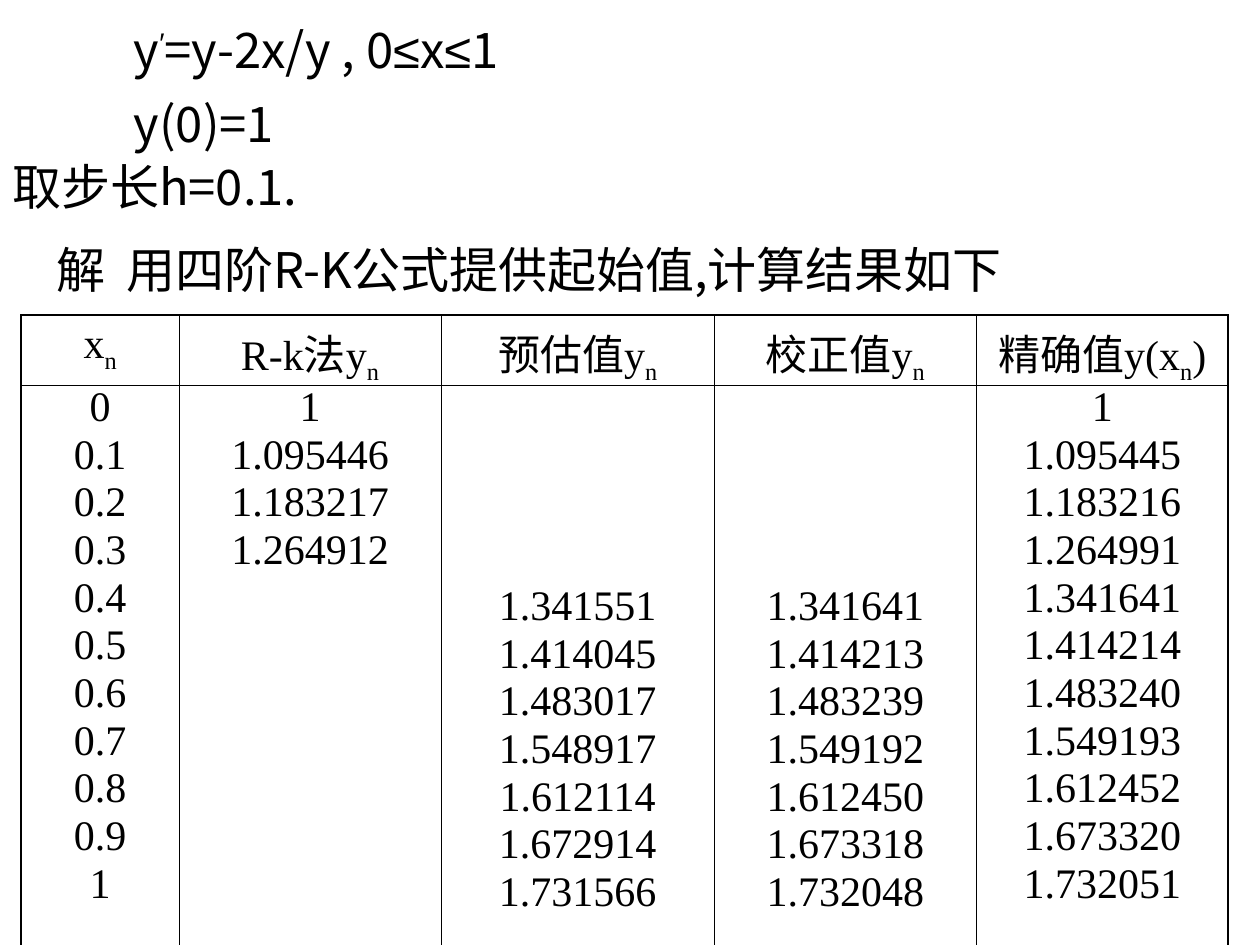
from lxml.etree import SubElement
from pptx import Presentation
from pptx.dml.color import RGBColor
from pptx.enum.text import PP_ALIGN
from pptx.oxml import parse_xml
from pptx.oxml.ns import nsdecls, qn
from pptx.util import Cm, Pt

BLACK = RGBColor(0, 0, 0)
TEXT_FONT = "Noto Sans CJK SC"
SYMBOL_FONT = "Arial"
TABLE_FONT = "Times New Roman"
SUBSCRIPT = -25000
SUPERSCRIPT = 30000
THIN, THICK = Pt(0.45), Pt(1.08)

COLUMN_WIDTHS = [3.18, 5.28, 5.51, 5.28, 5.08]
ROW_HEIGHTS = [1.42, 11.53]
HEADERS = ["x", "R-k法y", "预估值y", "校正值y", "精确值y(x"]
X_VALUES = ["0", "0.1", "0.2", "0.3", "0.4", "0.5", "0.6", "0.7", "0.8", "0.9", "1"]
RUNGE_KUTTA = ["1", "1.095446", "1.183217", "1.264912"]
PREDICTED = ["1.341551", "1.414045", "1.483017", "1.548917",
             "1.612114", "1.672914", "1.731566"]
CORRECTED = ["1.341641", "1.414213", "1.483239", "1.549192",
             "1.612450", "1.673318", "1.732048"]
EXACT = ["1", "1.095445", "1.183216", "1.264991", "1.341641", "1.414214",
         "1.483240", "1.549193", "1.612452", "1.673320", "1.732051"]
# Top margin that starts the multistep values beside x = 0.4
MULTISTEP_MARGIN = Cm(4.14)


def format_font(paragraph, name, size):
    font = paragraph.font
    font.name = name
    font.size = Pt(size)
    font.color.rgb = BLACK


def add_run(paragraph, text, font_name=None, baseline=None):
    run = paragraph.add_run()
    run.text = text
    if font_name:
        run.font.name = font_name
    if baseline:
        run._r.get_or_add_rPr().set("baseline", str(baseline))


def add_line(slide, top, parts, indent=0, tabs=()):
    """Add one full-width line of text; parts are argument tuples for add_run."""
    box = slide.shapes.add_textbox(0, Cm(top), Cm(25.4), Cm(1.5))
    box.text_frame.word_wrap = True
    paragraph = box.text_frame.paragraphs[0]
    paragraph.line_spacing = 1.05
    properties = paragraph._p.get_or_add_pPr()
    properties.set("marL", str(Cm(indent)))
    if tabs:
        tab_list = SubElement(properties, qn("a:tabLst"))
        for position in tabs:
            SubElement(tab_list, qn("a:tab"), pos=str(Cm(position)), algn="l")
    format_font(paragraph, TEXT_FONT, 28)
    SubElement(properties.find(qn("a:defRPr")), qn("a:ea"), typeface=TEXT_FONT)
    for part in parts:
        add_run(paragraph, *part)


def set_borders(cell, widths):
    """Draw the left, right, top and bottom borders of a cell."""
    properties = cell._tc.get_or_add_tcPr()
    for index, (side, width) in enumerate(zip("LRTB", widths)):
        properties.insert(index, parse_xml(
            f'<a:ln{side} {nsdecls("a")} w="{width}"><a:solidFill>'
            f'<a:srgbClr val="{BLACK}"/></a:solidFill></a:ln{side}>'))


def fill_header(cell, text):
    paragraph = cell.text_frame.paragraphs[0]
    paragraph.alignment = PP_ALIGN.CENTER
    format_font(paragraph, TABLE_FONT, 24)
    add_run(paragraph, text)
    add_run(paragraph, "n", baseline=SUBSCRIPT)
    if "(" in text:
        add_run(paragraph, ")")


def fill_values(cell, values):
    cell.text_frame.text = "\n".join(values)
    for index, paragraph in enumerate(cell.text_frame.paragraphs):
        paragraph.alignment = PP_ALIGN.CENTER
        paragraph.line_spacing = 0.8
        if index:
            paragraph.space_before = Pt(6)
        format_font(paragraph, TABLE_FONT, 24)


def add_results_table(slide):
    columns = [X_VALUES, RUNGE_KUTTA, PREDICTED, CORRECTED, EXACT]
    table = slide.shapes.add_table(
        2, len(columns), Cm(0.43), Cm(6.35),
        Cm(sum(COLUMN_WIDTHS)), Cm(sum(ROW_HEIGHTS))).table
    table.first_row = table.horz_banding = False
    for row, height in zip(table.rows, ROW_HEIGHTS):
        row.height = Cm(height)

    last = len(columns) - 1
    for index, (header, values) in enumerate(zip(HEADERS, columns)):
        table.columns[index].width = Cm(COLUMN_WIDTHS[index])
        header_cell, value_cell = table.cell(0, index), table.cell(1, index)
        fill_header(header_cell, header)
        fill_values(value_cell, values)
        if values in (PREDICTED, CORRECTED):
            value_cell.margin_top = MULTISTEP_MARGIN
        left = THICK if index == 0 else THIN
        right = THICK if index == last else THIN
        for cell, top, bottom in ((header_cell, THICK, THIN),
                                  (value_cell, THIN, THICK)):
            cell.fill.background()
            set_borders(cell, (left, right, top, bottom))


def main():
    presentation = Presentation()
    presentation.slide_width = Cm(25.4)
    presentation.slide_height = Cm(19.05)
    slide = presentation.slides.add_slide(presentation.slide_layouts[6])

    # Initial value problem
    add_line(slide, 0.2, [("y",), ("′", SYMBOL_FONT, SUPERSCRIPT),
                          ("=y-2x/y , 0",), ("≤", SYMBOL_FONT), ("x",),
                          ("≤", SYMBOL_FONT), ("1",)], indent=2.45)
    add_line(slide, 1.7, [("y(0)=1",)], indent=2.45)
    add_line(slide, 2.97, [("取步长h=0.1.",)])

    # Solution
    add_line(slide, 4.65, [("\t解\t用四阶R-K公式提供起始值,计算结果如下",)],
             tabs=(0.89, 2.31))
    add_results_table(slide)
    presentation.save("out.pptx")


if __name__ == "__main__":
    main()
